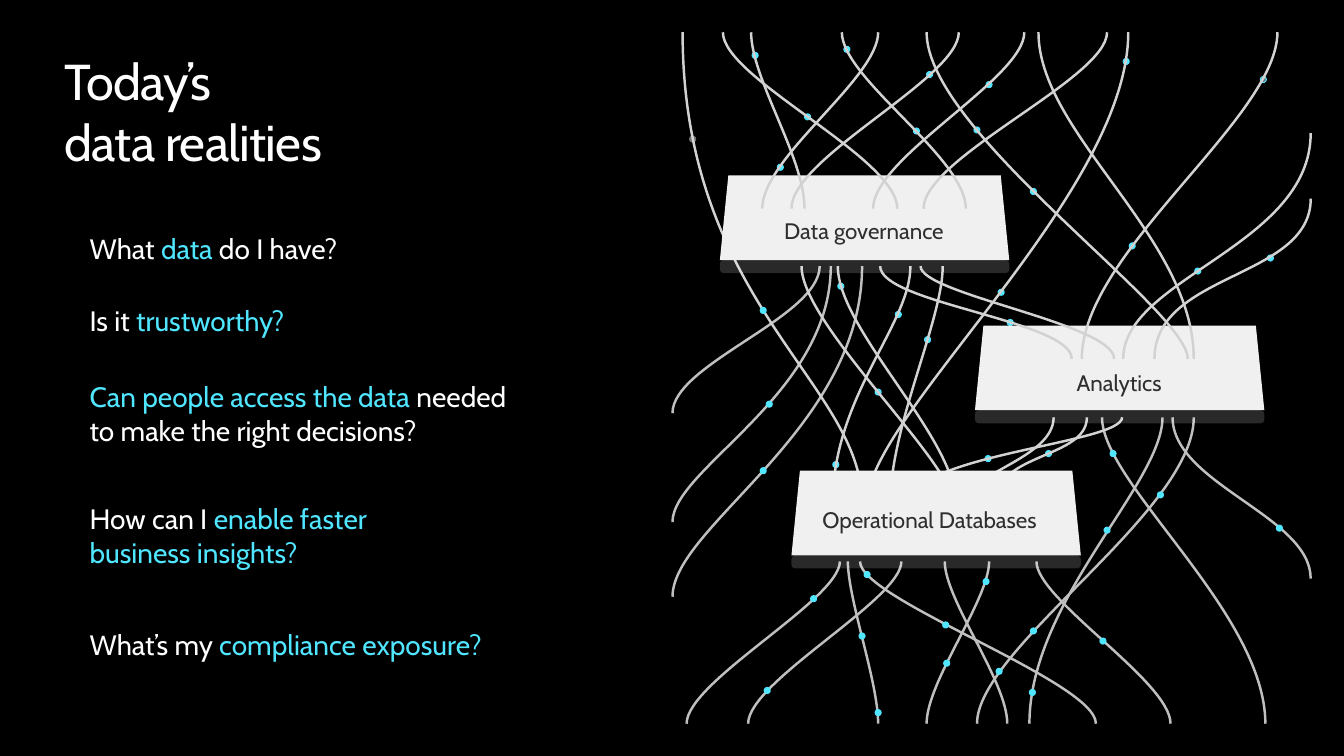
from collections import namedtuple

from lxml import etree
from pptx import Presentation
from pptx import util as u
from pptx.dml.color import RGBColor
from pptx.enum import shapes, text
from pptx.oxml.ns import qn

BLACK = RGBColor(0x00, 0x00, 0x00)
WHITE = RGBColor(0xFF, 0xFF, 0xFF)
CYAN = RGBColor(0x50, 0xE6, 0xFF)
DOT_GRAY = RGBColor(0x73, 0x73, 0x73)
OUTER_LINE = RGBColor(0xBF, 0xBF, 0xBF)
INNER_LINE = RGBColor(0xD2, 0xD2, 0xD2)
PLATE = RGBColor(0xF0, 0xF0, 0xF0)
INK = RGBColor(0x2F, 0x2F, 0x2F)
FONT = "Cabin"
COLUMNS, ROWS = 1333, 750

Box = namedtuple("Box", "left top width height")

QUESTIONS = [
    (225, [("What ", WHITE), ("data", CYAN), (" do I have?", WHITE)]),
    (296, [("Is it ", WHITE), ("trustworthy?", CYAN)]),
    (372, [("Can people access the data", CYAN),
           (" needed\nto make the right decisions?", WHITE)]),
    (493, [("How can I ", WHITE), ("enable faster\nbusiness insights?", CYAN)]),
    (618, [("What’s my ", WHITE), ("compliance exposure?", CYAN)]),
]

# Each key holds start row, two control rows and end row; values are start and end columns.
OUTER_CURVES = {
    (414, 480, 608, 718): [(1093, 1255)],
    (718, 643, 508, 414): [(969, 1184)],
    (718, 676, 595, 557): [(919, 981), (871, 841), (742, 894), (681, 833),
                           (999, 937), (1161, 1028), (1087, 853)],
    (414, 480, 596, 718): [(1153, 1021)],
    (414, 480, 512, 574): [(1163, 1300)],
    (592, 522, 426, 264): [(667, 855)],
    (410, 361, 315, 264): [(667, 813)],
    (518, 465, 392, 264): [(667, 824)],
}
DATABASE_CURVES = {
    (499, 381, 301, 32): [(855, 677)],
    (499, 458, 322, 264): [(945, 795)],
    (414, 455, 470, 499): [(1045, 957)],
    (414, 440, 451, 499): [(1113, 903)],
    (414, 455, 449, 499): [(1078, 987)],
    (264, 327, 434, 499): [(831, 948)],
    (499, 413, 193, 32): [(860, 1119)],
    (499, 423, 317, 264): [(883, 935)],
    (499, 393, 322, 264): [(826, 903)],
}
UPPER_CURVES = {
    (356, 270, 277, 197): [(1145, 1300)],
    (356, 276, 244, 132): [(1114, 1300)],
    (356, 307, 131, 32): [(1178, 919)],
    (356, 235, 133, 32): [(1184, 1030)],
    (356, 318, 301, 264): [(1063, 873)],
    (356, 321, 292, 264): [(1105, 913)],
    (356, 250, 117, 32): [(1073, 1267)],
    (207, 156, 78, 32): [(756, 871), (785, 951), (890, 717), (798, 745),
                         (916, 1098), (866, 1016), (958, 835)],
}
GRAY_DOTS = [(684, 135), (1250, 76)]
DOTS = [
    (966, 126), (978, 81), (1114, 58), (999, 317), (1022, 187), (868, 386),
    (888, 309), (760, 398), (837, 46), (798, 113), (881, 186), (906, 127),
    (919, 71), (826, 458), (1257, 253), (1120, 241), (831, 281), (1185, 266),
    (917, 334), (771, 163), (977, 452), (990, 287), (746, 52), (1095, 523),
    (1101, 447), (1037, 447), (1148, 488), (1266, 521), (868, 704), (758, 682),
    (935, 617), (754, 464), (1091, 633), (936, 655), (988, 663), (1022, 623),
    (975, 574), (857, 567),
]
FRONT_DOTS = [(754, 305), (852, 628), (804, 591), (1021, 684)]
PLATES = [
    ("Analytics", 967, 323, 1110, 380),
    ("Data governance", 714, 174, 857, 229),
    ("Operational Databases", 785, 467, 922, 515),
]


def place(box, column, row):
    return (round(box.left + box.width * column / COLUMNS),
            round(box.top + box.height * row / ROWS))


def span(box, columns, rows):
    return round(box.width * columns / COLUMNS), round(box.height * rows / ROWS)


def add_title(slide, box):
    title = slide.shapes.title
    title.left, title.top = place(box, 64, 50)
    title.width, title.height = span(box, 1205, 121)
    frame = title.text_frame
    frame.margin_left = frame.margin_top = frame.margin_right = frame.margin_bottom = 0
    frame.vertical_anchor = text.MSO_ANCHOR.TOP
    paragraph = frame.paragraphs[0]
    paragraph.text = "Today’s \vdata realities"
    paragraph.alignment = text.PP_ALIGN.LEFT
    paragraph.font.name, paragraph.font.size = FONT, u.Pt(36)
    paragraph.font.color.rgb = WHITE
    for run in paragraph.runs:
        run.font._element.set("spc", "-50")


def add_questions(slide, box):
    for row, parts in QUESTIONS:
        shape = slide.shapes.add_textbox(*place(box, 79, row), *span(box, 479, 70))
        shape.text_frame.word_wrap = True
        paragraph = shape.text_frame.paragraphs[0]
        paragraph.font.name, paragraph.font.size = FONT, u.Pt(20)
        for words, color in parts:
            for index, line in enumerate(words.split("\n")):
                if index:
                    paragraph.add_line_break()
                run = paragraph.add_run()
                run.text = line
                run.font.color.rgb = color


def add_curves(slide, box, curves, color):
    for (start_row, *controls, end_row), ends in curves.items():
        for start, end in ends:
            points = [place(box, start, controls[0]), place(box, end, controls[1]),
                      place(box, end, end_row)]
            builder = slide.shapes.build_freeform(*place(box, start, start_row))
            builder.add_line_segments(points, close=False)
            shape = builder.convert_to_shape()
            shape.shadow.inherit = False
            shape.fill.background()
            shape.line.color.rgb = color
            shape.line.width = u.Pt(1.75)
            outline = next(shape._element.iter(qn("a:path")))
            bezier = etree.SubElement(outline, qn("a:cubicBezTo"))
            for segment in outline.findall(qn("a:lnTo")):
                bezier.append(segment[0])
                outline.remove(segment)


def add_dots(slide, box, dots, fill):
    for column, row in dots:
        dot = slide.shapes.add_shape(shapes.MSO_SHAPE.OVAL, *place(box, column, row),
                                     *span(box, 6, 6))
        dot.shadow.inherit = False
        dot.fill.solid()
        dot.fill.fore_color.rgb = fill
        dot.line.color.rgb = DOT_GRAY if column < 700 else CYAN
        dot.line.width = u.Pt(0.75)


def add_plate(slide, box, label, left, top, center, middle):
    sides = [(shapes.MSO_SHAPE.ROUNDED_RECTANGLE, 84, 13, 0.3, WHITE),
             (shapes.MSO_SHAPE.TRAPEZOID, 0, 84, 0.1, PLATE)]
    for kind, drop, height, adjustment, color in sides:
        side = slide.shapes.add_shape(kind, *place(box, left, top + drop),
                                      *span(box, 287, height))
        side.adjustments[0] = adjustment
        side.shadow.inherit = False
        side.fill.solid()
        side.fill.fore_color.rgb = color
        side.line.fill.background()
        if color == WHITE:
            tint = next(side._element.spPr.iter(qn("a:srgbClr")))
            etree.SubElement(tint, qn("a:alpha"), val="16000")
    caption = slide.shapes.add_textbox(*place(box, center - 125, middle - 20),
                                       *span(box, 250, 40))
    frame = caption.text_frame
    frame.word_wrap = True
    frame.vertical_anchor = text.MSO_ANCHOR.MIDDLE
    paragraph = frame.paragraphs[0]
    paragraph.text = label
    paragraph.alignment = text.PP_ALIGN.CENTER
    paragraph.font.name, paragraph.font.size = FONT, u.Pt(16)
    paragraph.font.color.rgb = INK


def add_tangle(slide, box):
    add_curves(slide, box, OUTER_CURVES, OUTER_LINE)
    add_dots(slide, box, GRAY_DOTS, DOT_GRAY)
    add_dots(slide, box, DOTS, CYAN)
    add_curves(slide, box, DATABASE_CURVES, INNER_LINE)
    for plate in PLATES:
        add_plate(slide, box, *plate)
    add_curves(slide, box, UPPER_CURVES, INNER_LINE)
    add_dots(slide, box, FRONT_DOTS, CYAN)


def main():
    presentation = Presentation()
    presentation.slide_width, presentation.slide_height = u.Inches(13.33), u.Inches(7.5)
    slide = presentation.slides.add_slide(presentation.slide_layouts.get_by_name("Title Only"))
    slide.background.fill.solid()
    slide.background.fill.fore_color.rgb = BLACK
    box = Box(0, 0, presentation.slide_width, presentation.slide_height)
    add_title(slide, box)
    add_questions(slide, box)
    add_tangle(slide, box)
    presentation.save("out.pptx")


if __name__ == "__main__":
    main()
